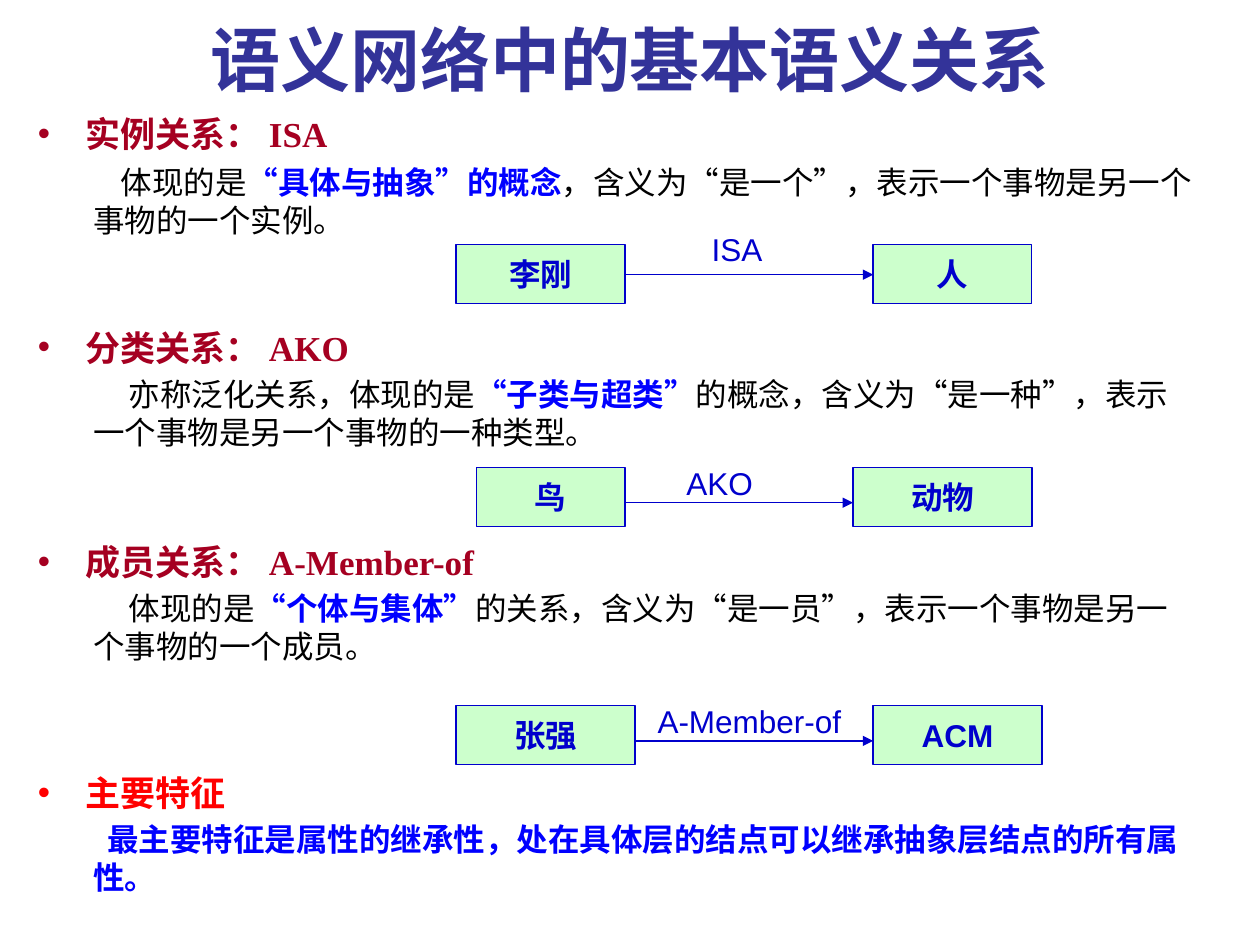
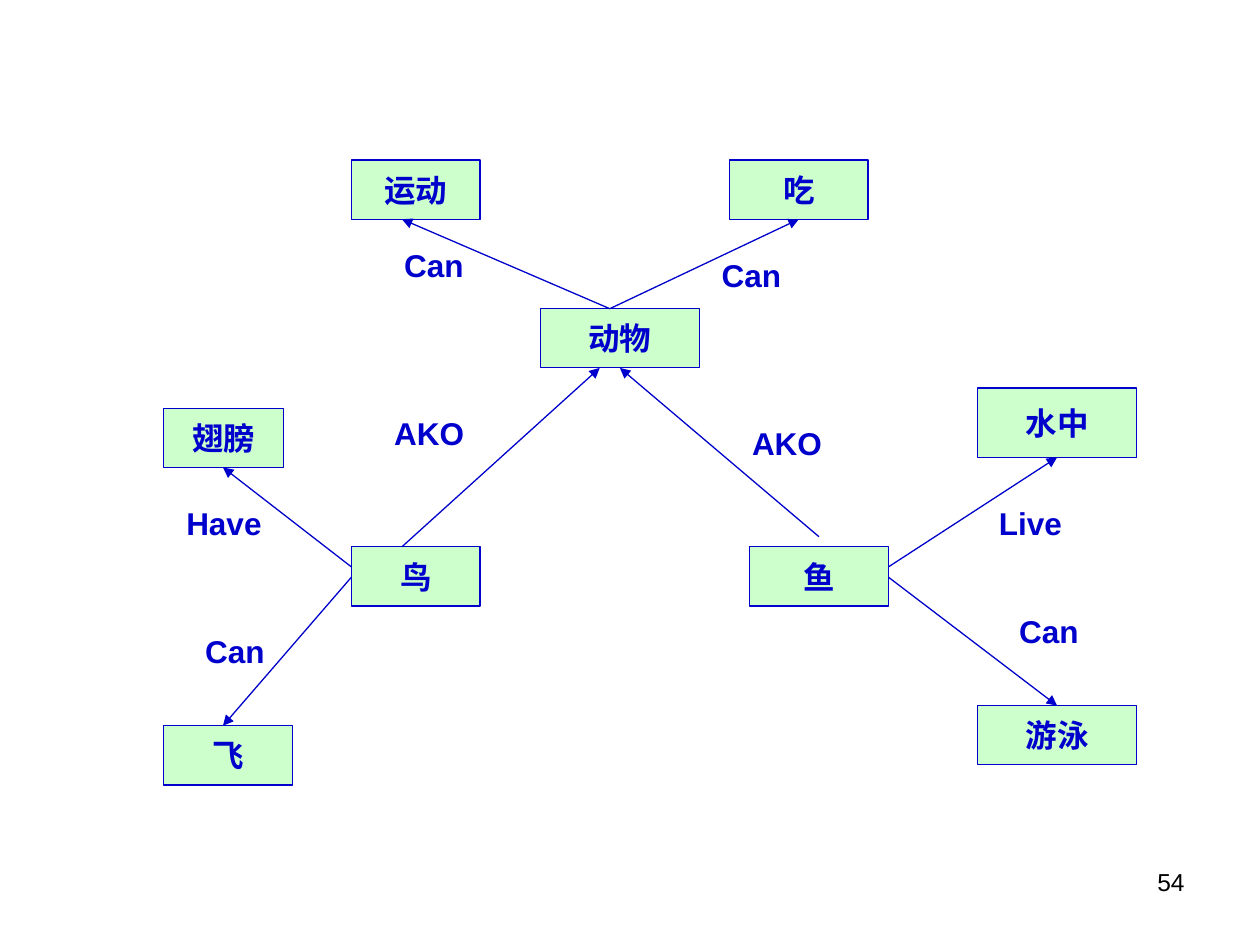
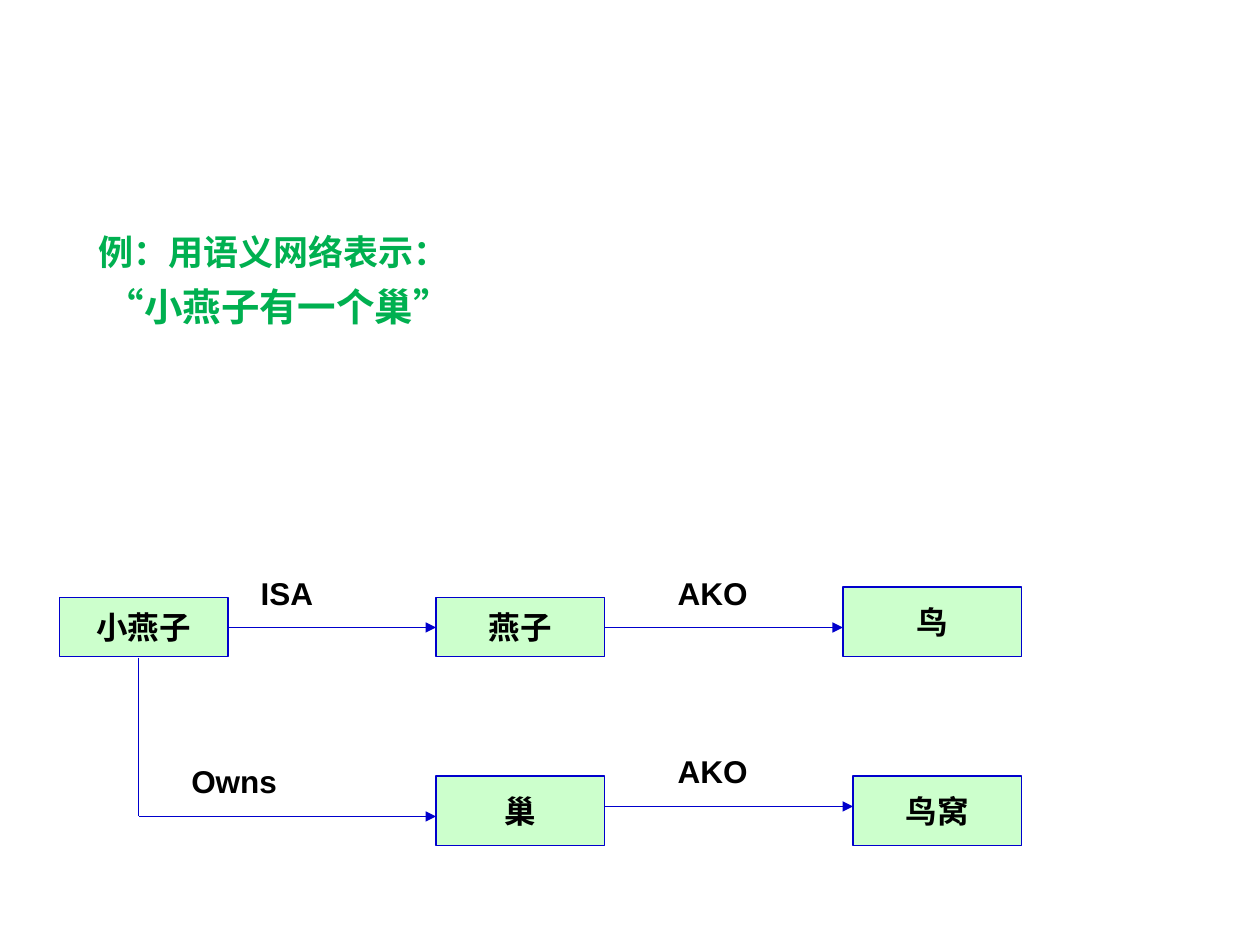
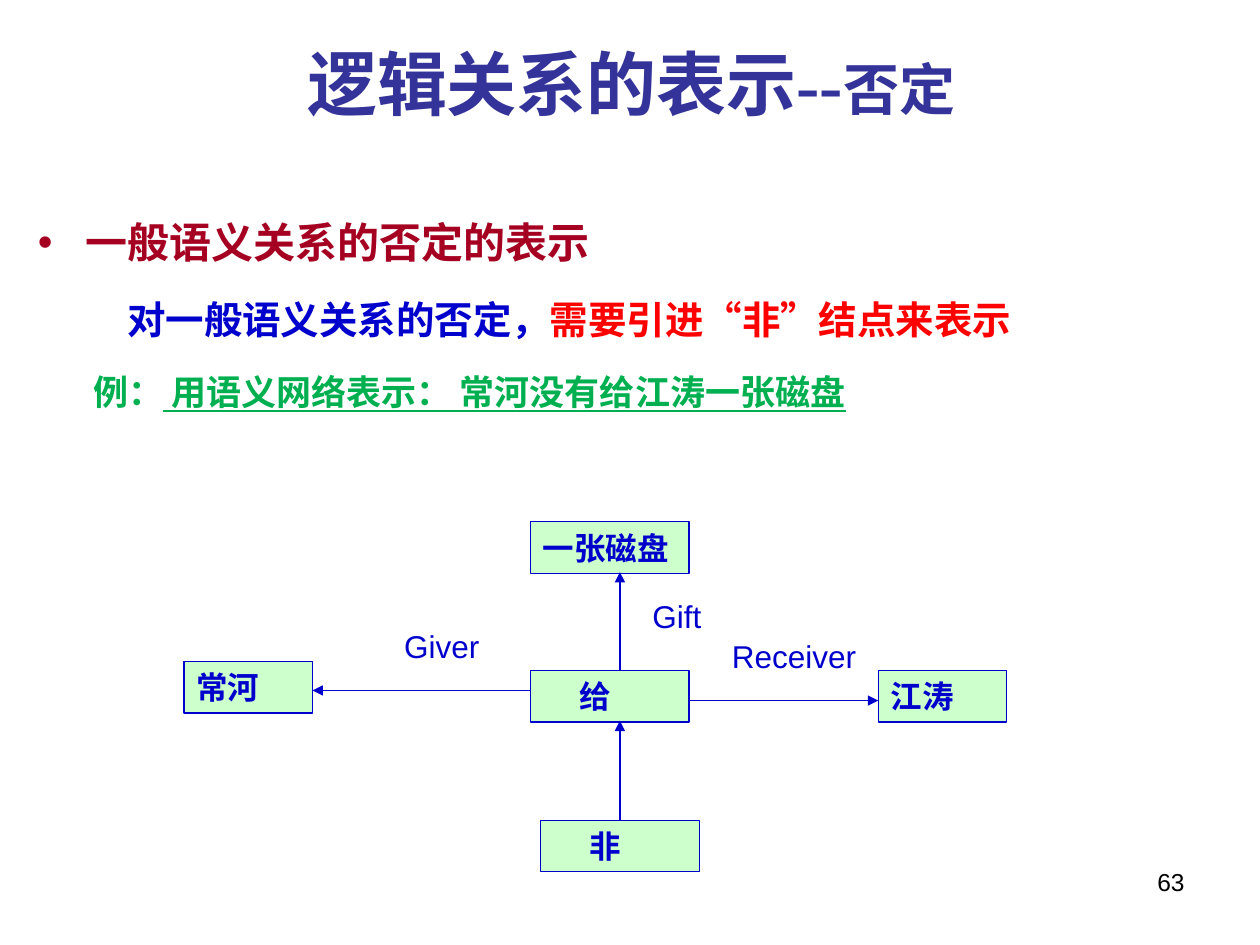
import dataclasses
import typing

import lxml.etree
import pptx
import pptx.dml.color
import pptx.enum.lang
import pptx.enum.shapes
import pptx.enum.text
import pptx.oxml.ns
import pptx.shapes.autoshape
import pptx.shapes.shapetree
import pptx.slide
import pptx.text.text
import pptx.util

EMU_PER_PX = 9144
NAVY, INK, BLUE, RED = "333399", "0000CC", "0000FF", "FF0000"
CRIMSON, GREEN, MINT, BLACK = "A50021", "00B050", "CCFFCC", "000000"
SANS, SERIF, CJK = "Arial", "Times New Roman", "Noto Sans CJK SC"
ALIGN = pptx.enum.text.PP_ALIGN
Canvas = typing.Union[pptx.shapes.shapetree.SlideShapes, pptx.shapes.shapetree.GroupShapes]
Area = tuple[int, int, int, int]


@dataclasses.dataclass
class Run:
    text: str
    color: str
    size: int
    bold: bool = True
    underline: bool = False
    font: str = SERIF


@dataclasses.dataclass
class Para:
    runs: list[Run]
    left: int = 44
    first: int = 0
    spacing: float = 1.0
    before: float = 0
    bullet: bool = False


@dataclasses.dataclass
class Node:
    text: str
    area: Area
    indent: int = 0


@dataclasses.dataclass
class Label:
    text: str
    area: Area
    wrap: bool = True


@dataclasses.dataclass
class Arrow:
    start: tuple[int, int]
    end: tuple[int, int]
    head: bool = True


def px(n: int) -> int:
    return pptx.util.Emu(n * EMU_PER_PX)


def rgb(color: str) -> pptx.dml.color.RGBColor:
    return pptx.dml.color.RGBColor.from_string(color)


def sub(parent: lxml.etree.ElementBase, tag: str, **attrs: str) -> None:
    lxml.etree.SubElement(parent, pptx.oxml.ns.qn(tag), attrs)


def add_run(p: pptx.text.text._Paragraph, run: Run) -> None:
    r = p.add_run()
    r.text = run.text
    f = r.font
    f.size = pptx.util.Pt(run.size)
    f.bold = run.bold
    if run.underline:
        f.underline = True
    f.color.rgb = rgb(run.color)
    f.name = run.font
    f.language_id = pptx.enum.lang.MSO_LANGUAGE_ID.SIMPLIFIED_CHINESE
    sub(r._r.get_or_add_rPr(), "a:ea", typeface=CJK)


def place(shape: pptx.shapes.autoshape.Shape, area: Area) -> pptx.text.text.TextFrame:
    shape.left, shape.top, shape.width, shape.height = map(px, area)
    tf = shape.text_frame
    tf.word_wrap = True
    tf.auto_size = pptx.enum.text.MSO_AUTO_SIZE.NONE
    return tf


def set_title(s: pptx.slide.Slide, area: Area, runs: list[Run]) -> None:
    tf = place(s.shapes.title, area)
    tf.vertical_anchor = pptx.enum.text.MSO_ANCHOR.MIDDLE
    p = tf.paragraphs[0]
    p.alignment = ALIGN.CENTER
    for run in runs:
        add_run(p, run)


def set_body(s: pptx.slide.Slide, area: Area, paras: list[Para], inset_top: int = 5) -> None:
    tf = place(s.placeholders[1], area)
    tf.margin_top = px(inset_top)
    for i, para in enumerate(paras):
        p = tf.add_paragraph() if i else tf.paragraphs[0]
        p.level = 0 if para.bullet else 1
        pPr = p._p.get_or_add_pPr()
        pPr.set("marL", str(px(para.left)))
        pPr.set("indent", str(px(para.first)))
        if para.bullet:
            sub(pPr, "a:buChar", char="•")
        else:
            sub(pPr, "a:buNone")
        p.line_spacing = para.spacing
        p.space_before = pptx.util.Pt(para.before)
        for run in para.runs:
            add_run(p, run)


def heading(text: str, size: int, spacing: float, before: float = 0, color: str = CRIMSON) -> Para:
    return Para([Run(text, color, size)], 38, -38, spacing, before, True)


def detail(first: int, before: float, *parts: tuple[str, str]) -> Para:
    runs = [Run(text, color, 18, color != BLACK) for text, color in parts]
    return Para(runs, first=first, before=before)


def add_node(shapes: Canvas, node: Node, color: str, align: ALIGN) -> None:
    sp = shapes.add_shape(pptx.enum.shapes.MSO_SHAPE.RECTANGLE, *map(px, node.area))
    sp.shadow.inherit = False
    sp.fill.solid()
    sp.fill.fore_color.rgb = rgb(MINT)
    sp.line.color.rgb = rgb(INK)
    sp.line.width = pptx.util.Pt(0.75)
    tf = sp.text_frame
    tf.word_wrap = align == ALIGN.LEFT
    tf.vertical_anchor = pptx.enum.text.MSO_ANCHOR.MIDDLE
    p = tf.paragraphs[0]
    p.alignment = align
    if node.indent:
        p._p.get_or_add_pPr().set("indent", str(px(node.indent)))
    add_run(p, Run(node.text, color, 18, font=SANS))


def add_arrow(shapes: Canvas, arrow: Arrow) -> None:
    straight = pptx.enum.shapes.MSO_CONNECTOR.STRAIGHT
    line = shapes.add_connector(straight, *map(px, arrow.start + arrow.end))
    line.line.color.rgb = rgb(INK)
    line.line.width = pptx.util.Pt(0.75)
    if arrow.head:
        sub(line.line._get_or_add_ln(), "a:tailEnd", type="triangle")
    sub(line._element.spPr, "a:effectLst")


def add_text(shapes: Canvas, label: Label, run: Run, align: ALIGN = ALIGN.LEFT) -> None:
    tf = shapes.add_textbox(*map(px, label.area)).text_frame
    tf.word_wrap = label.wrap
    p = tf.paragraphs[0]
    p.alignment = align
    add_run(p, run)


def add_network(
    shapes: Canvas,
    nodes: list[Node],
    arrows: list[Arrow],
    labels: list[Label],
    color: str = INK,
    bold_labels: bool = True,
    align: ALIGN = ALIGN.CENTER,
) -> None:
    for node in nodes:
        add_node(shapes, node, color, align)
    for arrow in arrows:
        add_arrow(shapes, arrow)
    for label in labels:
        add_text(shapes, label, Run(label.text, color, 18, bold_labels, font=SANS))


def add_page_number(s: pptx.slide.Slide, number: int) -> None:
    label = Label(str(number), (717, 683, 233, 52))
    add_text(s.shapes, label, Run(label.text, BLACK, 14, False, font=SANS), ALIGN.RIGHT)


def add_relations(s: pptx.slide.Slide) -> None:
    set_title(s, (50, -15, 900, 123), [Run("语义网络中的基本语义关系", NAVY, 40)])
    set_body(s, (20, 91, 941, 611), [
        heading("实例关系： ISA", 20, 0.8),
        detail(22, 5, ("体现的是", BLACK), ("“具体与抽象”的概念", BLUE),
               ("，含义为“是一个”，表示一个事物是另一个事物的一个实例。", BLACK)),
        heading("分类关系： AKO", 20, 0.8, 54.5),
        detail(28, 4, ("亦称泛化关系，体现的是", BLACK), ("“子类与超类”", BLUE),
               ("的概念，含义为“是一种”，表示一个事物是另一个事物的一种类型。", BLACK)),
        heading("成员关系： A-Member-of", 20, 0.8, 56),
        detail(28, 4, ("体现的是", BLACK), ("“个体与集体”", BLUE),
               ("的关系，含义为“是一员”，表示一个事物是另一个事物的一个成员。", BLACK)),
        heading("主要特征", 20, 0.8, 65.5, RED),
        detail(11, 4, ("最主要特征是属性的继承性，处在具体层的结点可以继承抽象层结点的所有属性。", BLUE)),
    ])
    nodes = [
        Node("李刚", (362, 194, 134, 47)),
        Node("人", (693, 194, 126, 47)),
        Node("鸟", (378, 371, 118, 47)),
        Node("动物", (677, 371, 142, 47)),
        Node("张强", (362, 560, 142, 47)),
        Node("ACM", (693, 560, 134, 47)),
    ]
    arrows = [
        Arrow((496, 218), (693, 218)),
        Arrow((496, 399), (677, 399)),
        Arrow((504, 588), (693, 588)),
    ]
    labels = [
        Label("ISA", (555, 178, 71, 40)),
        Label("AKO", (535, 363, 94, 40)),
        Label("A-Member-of", (512, 552, 181, 40)),
    ]
    add_network(s.shapes, nodes, arrows, labels, bold_labels=False)


def add_animals(s: pptx.slide.Slide) -> None:
    add_page_number(s, 54)
    nodes = [
        Node("动物", (429, 245, 126, 47)),
        Node("吃", (579, 127, 110, 47)),
        Node("运动", (279, 127, 102, 47)),
        Node("翅膀", (130, 324, 95, 47)),
        Node("水中", (776, 308, 126, 55)),
        Node("鸟", (279, 434, 102, 47)),
        Node("鱼", (595, 434, 110, 47)),
        Node("飞", (130, 576, 102, 47)),
        Node("游泳", (776, 560, 126, 47)),
    ]
    arrows = [
        Arrow((484, 245), (319, 174)),
        Arrow((484, 245), (634, 174)),
        Arrow((319, 434), (476, 292)),
        Arrow((650, 426), (492, 292)),
        Arrow((279, 450), (177, 371)),
        Arrow((279, 458), (177, 576)),
        Arrow((705, 450), (839, 363)),
        Arrow((705, 458), (839, 560)),
    ]
    labels = [
        Label("Can", (311, 190, 87, 40)),
        Label("Can", (563, 198, 94, 40)),
        Label("AKO", (303, 324, 110, 40)),
        Label("AKO", (587, 332, 118, 40)),
        Label("Have", (138, 395, 95, 40)),
        Label("Can", (153, 497, 71, 40)),
        Label("Live", (783, 395, 75, 40)),
        Label("Can", (799, 481, 79, 40)),
    ]
    add_network(s.shapes, nodes, arrows, labels)


def add_swallow(s: pptx.slide.Slide) -> None:
    title = s.shapes.title._element
    title.getparent().remove(title)
    set_body(s, (24, 133, 914, 554), [
        Para([Run("例：用语义网络表示：", GREEN, 20, font=CJK)], spacing=1.05),
        Para([Run("“小燕子有一个巢”", GREEN, 22, font=CJK)], 50, spacing=1.05, before=5),
    ], inset_top=48)
    nodes = [
        Node("小燕子", (47, 474, 134, 47)),
        Node("燕子", (346, 474, 134, 47)),
        Node("鸟", (669, 466, 142, 55)),
        Node("巢", (346, 616, 134, 55)),
        Node("鸟窝", (677, 616, 134, 55)),
    ]
    arrows = [
        Arrow((181, 498), (346, 498)),
        Arrow((480, 498), (669, 498)),
        Arrow((110, 522), (110, 648), head=False),
        Arrow((110, 648), (346, 648)),
        Arrow((480, 640), (677, 640)),
    ]
    labels = [
        Label("ISA", (197, 451, 110, 40)),
        Label("AKO", (528, 451, 79, 40)),
        Label("Owns", (142, 600, 110, 40)),
        Label("AKO", (528, 592, 87, 40)),
    ]
    add_network(s.shapes.add_group_shape().shapes, nodes, arrows, labels, BLACK)


def add_negation(s: pptx.slide.Slide) -> None:
    set_title(s, (51, 0, 900, 131), [Run("逻辑关系的表示--", NAVY, 40), Run("否定", NAVY, 32)])
    set_body(s, (20, 147, 980, 583), [
        heading("一般语义关系的否定的表示", 24, 1.5),
        Para([Run("对一般语义关系的否定，", INK, 22), Run("需要引进“非”结点来表示", RED, 22)],
             50, 21, 1.5, 3.5),
        Para([Run("例：", GREEN, 20),
              Run(" 用语义网络表示： 常河没有给江涛一张磁盘", GREEN, 20, underline=True)],
             before=16),
    ])
    add_page_number(s, 63)
    nodes = [
        Node("一张磁盘", (421, 414, 126, 41)),
        Node("给", (421, 532, 126, 41), 29),
        Node("非", (429, 651, 126, 41), 29),
        Node("常河", (146, 525, 102, 41)),
        Node("江涛", (697, 532, 102, 41)),
    ]
    arrows = [
        Arrow((547, 556), (697, 556)),
        Arrow((421, 548), (248, 548)),
        Arrow((492, 532), (492, 454)),
        Arrow((492, 651), (492, 572)),
    ]
    labels = [
        Label("Gift", (508, 469, 59, 40), False),
        Label("Giver", (311, 493, 80, 40), False),
        Label("Receiver", (571, 501, 119, 40)),
    ]
    add_network(s.shapes, nodes, arrows, labels, bold_labels=False, align=ALIGN.LEFT)


def main() -> None:
    prs = pptx.Presentation()
    prs.slide_width, prs.slide_height = px(1000), px(750)
    content, blank = prs.slide_layouts[1], prs.slide_layouts[6]
    for layout, build in (
        (content, add_relations),
        (blank, add_animals),
        (content, add_swallow),
        (content, add_negation),
    ):
        build(prs.slides.add_slide(layout))
    prs.save("out.pptx")


if __name__ == "__main__":
    main()
